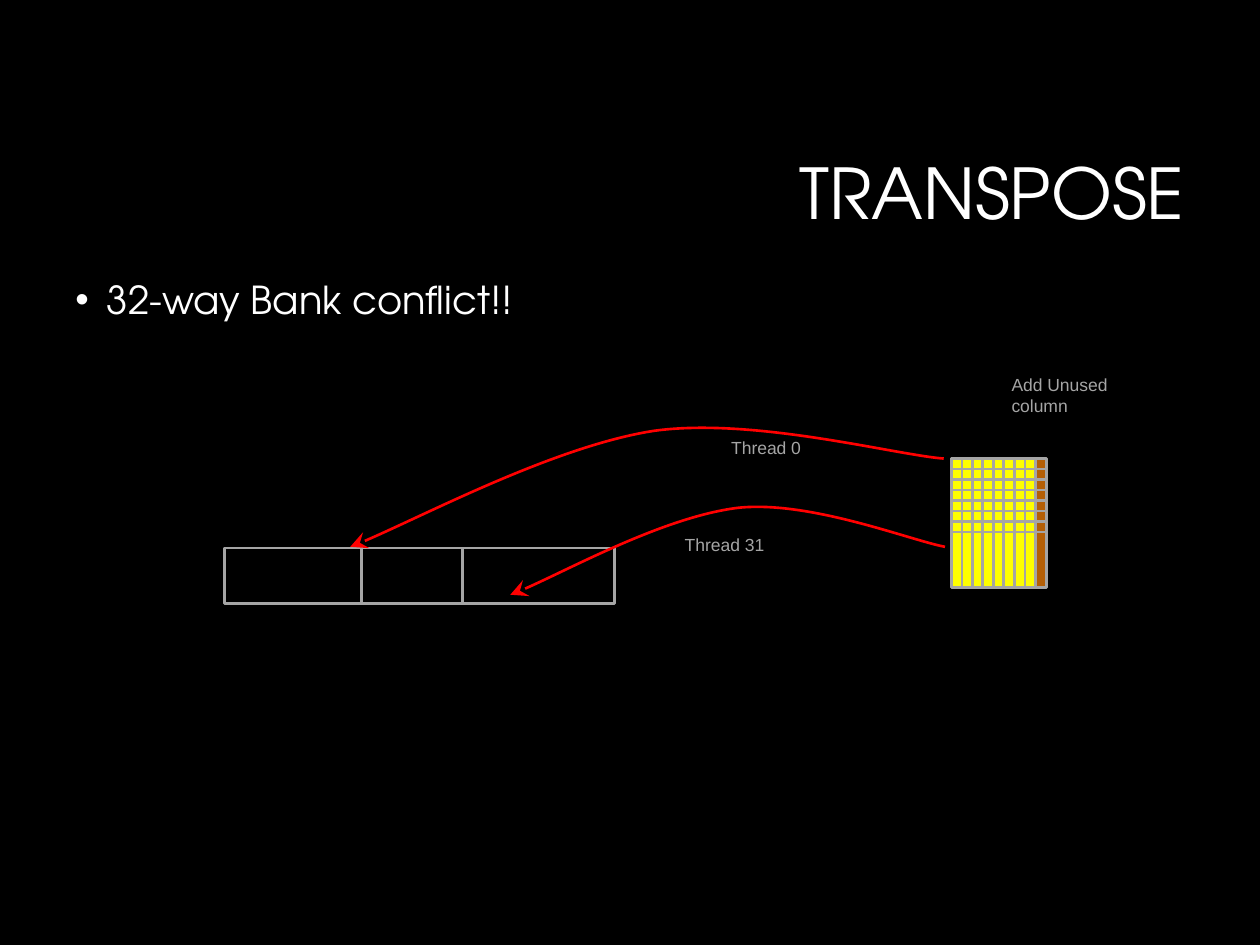
from lxml.etree import SubElement
from pptx import Presentation
from pptx.dml.color import RGBColor
from pptx.enum.shapes import MSO_SHAPE
from pptx.enum.text import MSO_ANCHOR, MSO_AUTO_SIZE, PP_ALIGN
from pptx.oxml.ns import qn
from pptx.util import Inches, Pt

COLORS = {"back": "000000", "white": "FFFFFF", "gray": "A5A5A5",
          "used": "FFFF00", "unused": "B45F06", "thread": "FF0000"}
TITLE_FONT, LABEL_FONT = "TeX Gyre Adventor", "Arial"

TITLE = ("TRANSPOSE", (0.5, 0.3, 9, 1.66))
BULLET = ("32-way Bank conflict!!", (0.5, 2.13, 9, 5.05))
LABELS = [
    ("Thread 0", (5.68, 3.37, 0.8, 0.37), PP_ALIGN.CENTER, MSO_ANCHOR.MIDDLE),
    ("Thread 31", (5.27, 4.14, 0.96, 0.37), PP_ALIGN.CENTER, MSO_ANCHOR.MIDDLE),
    ("Add Unused column", (7.93, 2.87, 1.43, 0.54), PP_ALIGN.LEFT, MSO_ANCHOR.TOP),
]
MEMORY_BARS = [(1.78, 4.35, 3.1, 0.44), (2.87, 4.35, 0.8, 0.44)]
THREAD_CURVES = [
    [(4.05, 4.72), (4.35, 4.61), (5.28, 4.1), (5.86, 4.03),
     (6.43, 3.97), (7.23, 4.29), (7.5, 4.34)],
    [(2.78, 4.34), (3.18, 4.19), (4.41, 3.54), (5.19, 3.42),
     (5.98, 3.31), (7.1, 3.61), (7.49, 3.64)],
]
GRID_LEFT, GRID_TOP, PITCH = 7.55, 3.64, 1 / 12
CELL_WIDTH, CELL_HEIGHT = 0.09, 0.44
ROWS, USED_COLUMNS, ROWS_PER_GROUP = 8, 8, 4


def color(name):
    return RGBColor.from_string(COLORS[name])


def place(shape, area):
    shape.left, shape.top, shape.width, shape.height = map(Inches, area)


def write(shape, text, font, size, tint, align, anchor):
    frame = shape.text_frame
    frame.word_wrap = True
    frame.auto_size = MSO_AUTO_SIZE.NONE
    frame.vertical_anchor = anchor
    frame.margin_left = frame.margin_right = Inches(0.1)
    frame.margin_top = frame.margin_bottom = Inches(0.1)
    para = frame.paragraphs[0]
    para.text = text
    para.alignment = align
    if shape.is_placeholder or font == TITLE_FONT:
        para.line_spacing = 0.9
    if text == BULLET[0]:
        add_bullet(para)
    para.font.name, para.font.size = font, Pt(size)
    para.font.color.rgb = color(tint)


def add_bullet(para):
    props = para._p.get_or_add_pPr()
    props.set("marL", str(Inches(0.25)))
    props.set("indent", str(-Inches(0.25)))
    SubElement(props, qn("a:buFont"), typeface=LABEL_FONT)
    SubElement(props, qn("a:buChar"), char="•")


def add_box(shapes, area, fill=None):
    box = shapes.add_shape(MSO_SHAPE.RECTANGLE, *map(Inches, area))
    box.shadow.inherit = False
    if fill:
        box.fill.solid()
        box.fill.fore_color.rgb = color(fill)
    else:
        box.fill.background()
    box.line.color.rgb = color("gray")
    box.line.width = Pt(1.5)


def add_cell(shapes, row, column, fill):
    add_box(shapes, (GRID_LEFT + column * PITCH, GRID_TOP + row * PITCH,
                     CELL_WIDTH, CELL_HEIGHT), fill)


def add_curve(shapes, points):
    start, *rest = [(Inches(x), Inches(y)) for x, y in points]
    builder = shapes.build_freeform(*start)
    builder.add_line_segments(rest, close=False)
    curve = builder.convert_to_shape()
    curve.shadow.inherit = False
    curve.fill.background()
    curve.line.color.rgb = color("thread")
    curve.line.width = Pt(1.5)
    outline = next(curve._element.iter(qn("a:path")))
    segments = outline.findall(qn("a:lnTo"))
    for first in range(0, len(segments), 3):
        bezier = SubElement(outline, qn("a:cubicBezTo"))
        for segment in segments[first:first + 3]:
            bezier.append(segment[0])
            outline.remove(segment)
    SubElement(curve.line._get_or_add_ln(), qn("a:headEnd"),
               type="stealth", w="lg", len="lg")


def main():
    deck = Presentation()
    deck.slide_width, deck.slide_height = Inches(10), Inches(7.5)
    page = deck.slides.add_slide(deck.slide_layouts[5])
    page.background.fill.solid()
    page.background.fill.fore_color.rgb = color("back")
    shapes = page.shapes

    text, area = TITLE
    place(shapes.title, area)
    write(shapes.title, text, TITLE_FONT, 40, "white",
          PP_ALIGN.RIGHT, MSO_ANCHOR.BOTTOM)

    text, area = BULLET
    box = shapes.add_textbox(*map(Inches, area))
    write(box, text, TITLE_FONT, 22, "white", PP_ALIGN.LEFT, MSO_ANCHOR.TOP)

    for area in MEMORY_BARS:
        add_box(shapes, area)

    for first in range(0, ROWS, ROWS_PER_GROUP):
        group = shapes.add_group_shape()
        for row in range(first, first + ROWS_PER_GROUP):
            for column in range(USED_COLUMNS):
                add_cell(group.shapes, row, column, "used")
    for row in range(ROWS):
        add_cell(shapes, row, USED_COLUMNS, "unused")

    for text, area, align, anchor in LABELS:
        box = shapes.add_textbox(*map(Inches, area))
        write(box, text, LABEL_FONT, 10, "gray", align, anchor)

    for points in THREAD_CURVES:
        add_curve(shapes, points)

    deck.save("out.pptx")


if __name__ == "__main__":
    main()
